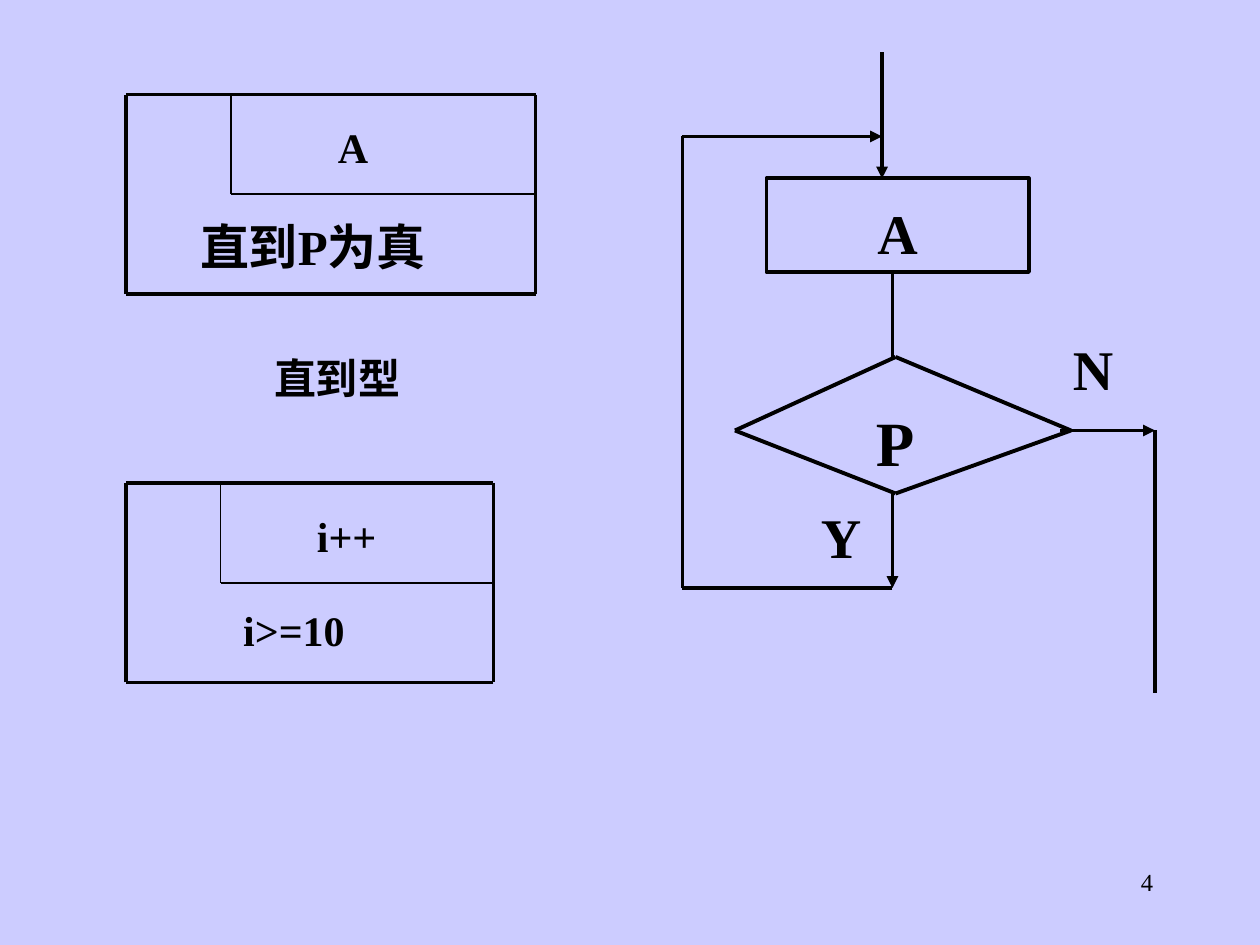
from itertools import pairwise

from lxml.etree import SubElement
from pptx import Presentation
from pptx.dml.color import RGBColor
from pptx.enum.shapes import MSO_CONNECTOR, MSO_SHAPE
from pptx.enum.text import MSO_ANCHOR, PP_ALIGN
from pptx.oxml.ns import qn
from pptx.util import Inches, Pt

UNIT = Inches(1) / 12  # one grid step; the slide is 120 x 90 steps
FONT = "Times New Roman"
INK = "000000"
BACKDROP = "CCCCFF"
THICK, THIN = 2.25, 1
WIDE_INSET, SLIM_INSET = (0.1, 0.05), (0.02, 0.01)


def color(hex_string):
    return RGBColor.from_string(hex_string)


def steps(*values):
    return [round(value * UNIT) for value in values]


def within(region, x, y, width, height):
    """Turn a box relative to a region into a box on the slide."""
    return region[0] + x, region[1] + y, width, height


def draw_path(slide, region, points, weight=THICK, arrow=False):
    """Join points, relative to the region, with straight connectors."""
    left, top = region[:2]
    for (x1, y1), (x2, y2) in pairwise(points):
        ends = steps(left + x1, top + y1, left + x2, top + y2)
        segment = slide.shapes.add_connector(MSO_CONNECTOR.STRAIGHT, *ends)
        segment.line.color.rgb = color(INK)
        segment.line.width = Pt(weight)
        properties = segment._element.spPr
        SubElement(properties, qn("a:effectLst"))
        if arrow:
            SubElement(properties.find(qn("a:ln")), qn("a:tailEnd"), type="triangle")


def write(holder, text, size, align=PP_ALIGN.CENTER, spacing=None, bold=True,
          anchor=MSO_ANCHOR.MIDDLE, inset=WIDE_INSET):
    frame = holder.text_frame
    frame.word_wrap = True
    frame.vertical_anchor = anchor
    frame.margin_left = frame.margin_right = Inches(inset[0])
    frame.margin_top = frame.margin_bottom = Inches(inset[1])
    paragraph = frame.paragraphs[0]
    paragraph.alignment = align
    if spacing:
        paragraph.line_spacing = spacing
    run = paragraph.add_run()
    run.text = text
    run.font.name = FONT
    run.font.size = Pt(size)
    run.font.bold = bold
    run.font.color.rgb = color(INK)


def add_label(slide, box, text, size, **style):
    write(slide.shapes.add_textbox(*steps(*box)), text, size, **style)


def add_until_diagram(slide, region, notch_x, body, body_box,
                      condition, condition_box, condition_size):
    """Nassi-Shneiderman box: a loop body set into its closing condition."""
    width, height = region[2:]
    draw_path(slide, region, [(0, 0), (width, 0), (width, height), (0, height), (0, 0)])
    draw_path(slide, region, [(notch_x, 0), (notch_x, height / 2), (width, height / 2)], THIN)
    add_label(slide, within(region, *condition_box), condition, condition_size)
    add_label(slide, within(region, *body_box), body, 24, align=PP_ALIGN.LEFT)


def add_flowchart(slide, region):
    width, height = region[2:]
    entry_x, axis_x, peak_x = 19, 20, 20.3
    merge_y, process_y, process_height = 8, 12, 8.9
    decision_top, decision_y, decision_bottom, return_y = 29, 36, 42, 51

    decision = [(peak_x, decision_top), (37, decision_y), (peak_x, decision_bottom),
                (5, decision_y), (peak_x, decision_top)]
    draw_path(slide, region, decision)
    add_label(slide, within(region, 11.9, 32.6, 16.7, 8.2), "P", 36,
              spacing=1.1, inset=SLIM_INSET)

    process = slide.shapes.add_shape(
        MSO_SHAPE.RECTANGLE, *steps(*within(region, 8, process_y, 25, process_height)))
    process.shadow.inherit = False
    process.fill.background()
    process.line.color.rgb = color(INK)
    process.line.width = Pt(THICK)
    write(process, "A", 32, spacing=1.2)

    plain_lines = [
        [(axis_x, process_y + process_height), (axis_x, decision_top)],
        [(axis_x, return_y), (0, return_y), (0, merge_y)],
        [(width, decision_y), (width, height)],
    ]
    arrows = [
        [(axis_x, decision_bottom), (axis_x, return_y)],
        [(0, merge_y), (entry_x, merge_y)],
        [(entry_x, 0), (entry_x, process_y)],
        [(36, decision_y), (width, decision_y)],
    ]
    for line in plain_lines:
        draw_path(slide, region, line)
    for arrow in arrows:
        draw_path(slide, region, arrow, arrow=True)

    for branch, x, y in (("Y", 12, 41), ("N", 36, 25)):
        add_label(slide, within(region, x, y, 6, process_height), branch, 32,
                  align=PP_ALIGN.LEFT, spacing=1.2)


def main():
    presentation = Presentation()
    presentation.slide_width, presentation.slide_height = steps(120, 90)
    slide = presentation.slides.add_slide(presentation.slide_layouts[6])
    slide.background.fill.solid()
    slide.background.fill.fore_color.rgb = color(BACKDROP)

    add_until_diagram(slide, (12, 9, 39, 19), 10, "A", (19, 2, 11, 6),
                      "直到P为真", (4.4, 11, 26.8, 6.8), 28)
    add_label(slide, (15.4, 33, 33.4, 6), "直到型", 24)
    add_until_diagram(slide, (12, 46, 35, 19), 9, "i++", (17, 2, 10, 6),
                      "i>=10", (4, 11, 24, 6), 24)
    add_flowchart(slide, (65, 5, 45, 61))
    add_label(slide, (86, 82, 25, 6), "4", 14, align=PP_ALIGN.RIGHT,
              bold=False, anchor=MSO_ANCHOR.TOP)
    presentation.save("out.pptx")


if __name__ == "__main__":
    main()
